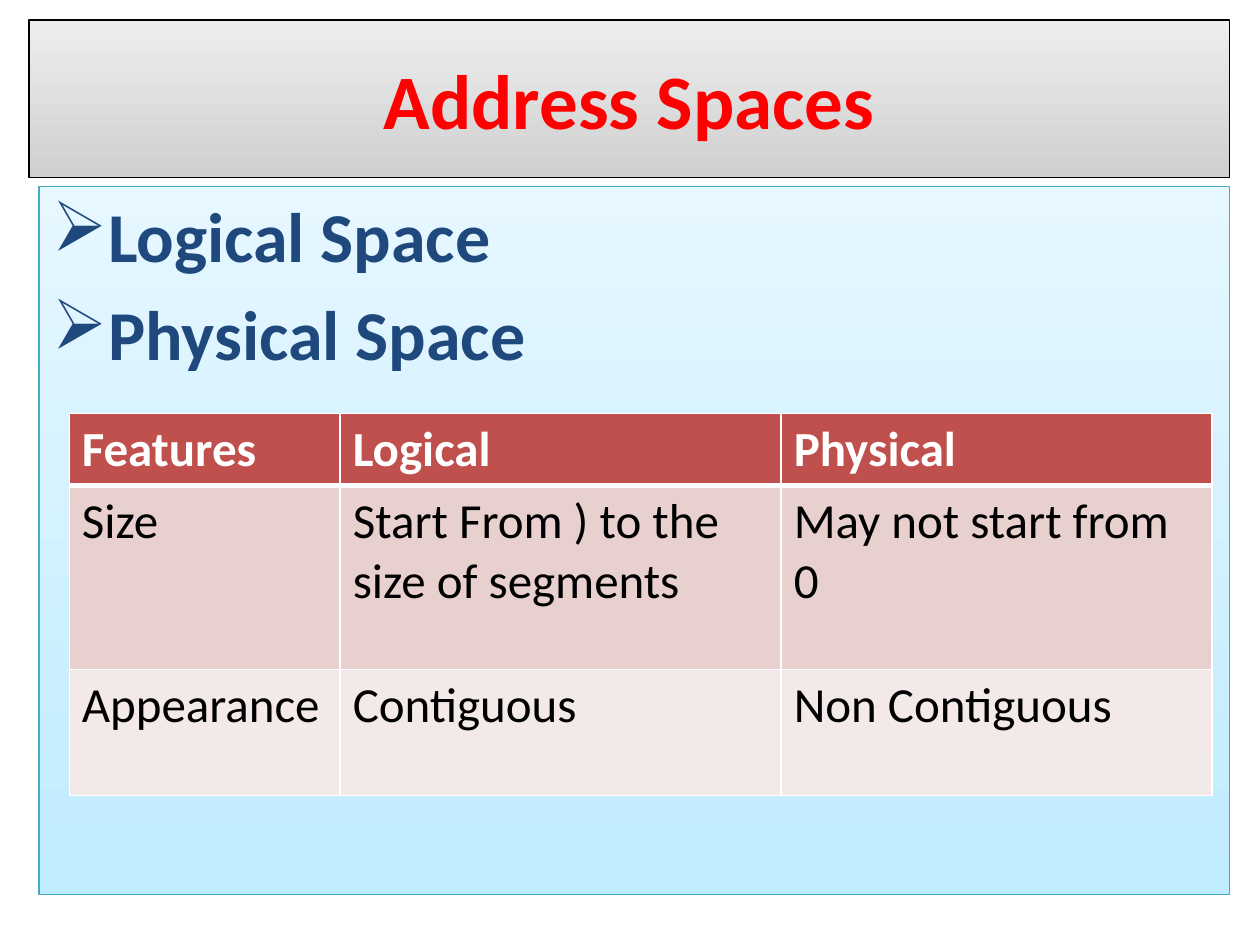
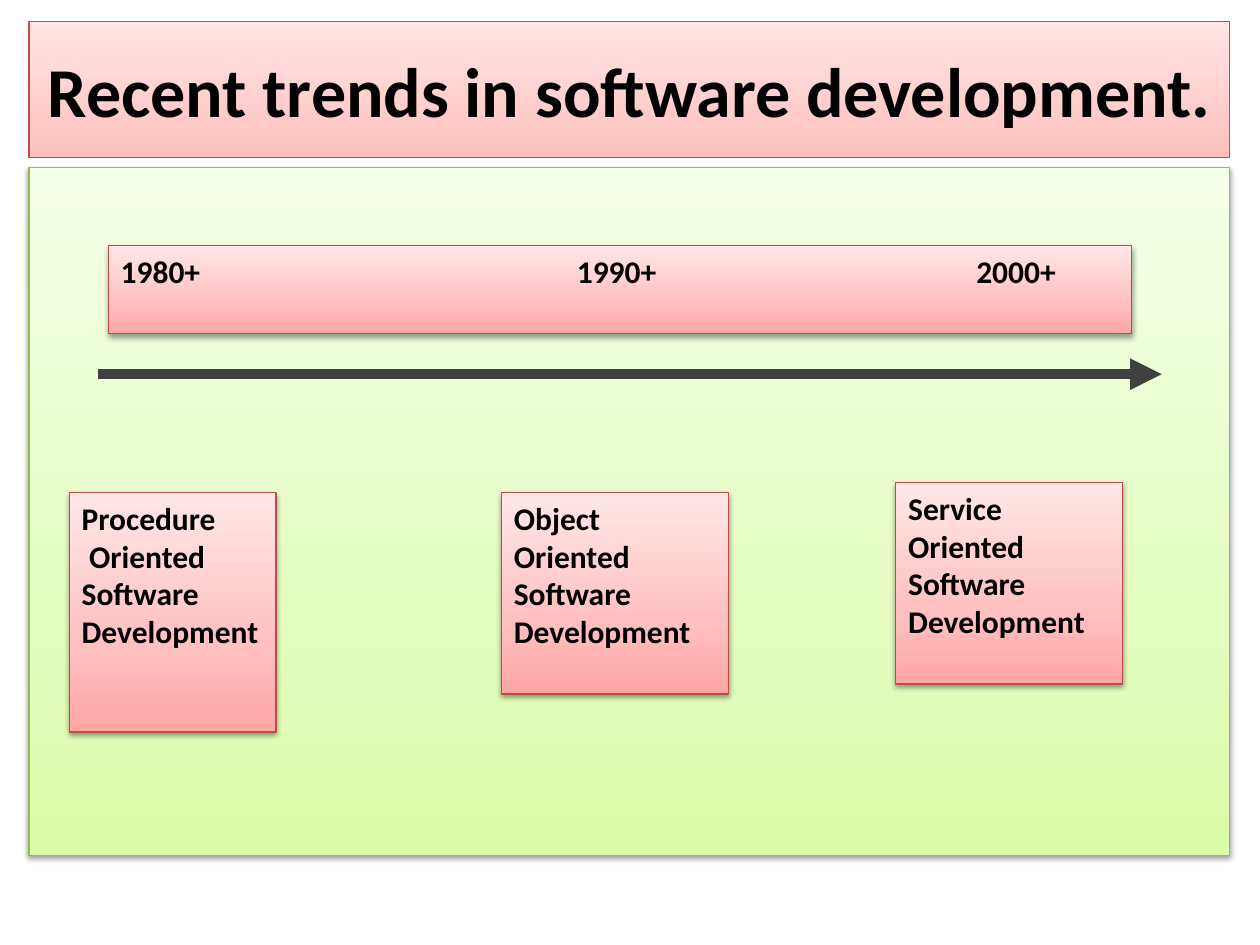
from copy import deepcopy

from lxml import etree
from pptx import Presentation
from pptx.dml.color import RGBColor
from pptx.enum.shapes import MSO_CONNECTOR, MSO_SHAPE
from pptx.enum.text import MSO_ANCHOR, PP_ALIGN
from pptx.oxml.ns import qn
from pptx.util import Emu, Inches, Pt

RECT, LINE = MSO_SHAPE.RECTANGLE, MSO_CONNECTOR.STRAIGHT
TOP, MIDDLE = MSO_ANCHOR.TOP, MSO_ANCHOR.MIDDLE
LEFT, CENTER = PP_ALIGN.LEFT, PP_ALIGN.CENTER

FONT = "Calibri"
COLS, ROWS = 100, 75  # square grid cells over the whole slide
COLORS = {
    "black": "000000", "white": "FFFFFF", "red": "FF0000", "navy": "1F497D",
    "teal": "46AAC4", "brick": "BE4B48", "olive": "98B855", "slate": "404040",
    "head": "C0504D", "odd": "E8D0CF", "even": "F4E9E9",
}
# Gradients run from the bottom edge to the top edge
FADES = {
    "gray": [(0, "D0D0D0"), (1, "EDEDED")],
    "blue": [(0, "BFECFF"), (1, "E6F7FF")],
    "pink": [(0, "FFC1BE"), (1, "FFE5E5")],
    "rose": [(0, "FFA6A5"), (0.35, "FFC0BF"), (1, "FFE7E7")],
    "lime": [(0, "DAFDA7"), (0.35, "E4FCC2"), (1, "F5FFE7")],
}


def color(name):
    return RGBColor.from_string(COLORS[name])


def add(parent, tag, **attrs):
    node = etree.SubElement(parent, qn(tag))
    for key, value in attrs.items():
        node.set(key, str(value))
    return node


class Deck:
    def __init__(self):
        self.prs = Presentation()
        self.prs.slide_width, self.prs.slide_height = Inches(10), Inches(7.5)
        self.slide = None

    def page(self):
        self.slide = self.prs.slides.add_slide(self.prs.slide_layouts[6])

    def col(self, n):
        return Emu(round(self.prs.slide_width * n / COLS))

    def row(self, n):
        return Emu(round(self.prs.slide_height * n / ROWS))

    def place(self, x, y, w, h):
        return self.col(x), self.row(y), self.col(w), self.row(h)

    def style(self, para, size, ink, bold=True):
        font = para.font
        font.name, font.size, font.bold = FONT, Pt(size), bold
        font.color.rgb = color(ink)

    def fade(self, shape, name):
        stops = FADES[name]
        shape.fill.gradient()
        shape.fill.gradient_angle = 90
        items = shape._element.spPr.find(qn("a:gradFill")).find(qn("a:gsLst"))
        while len(items) < len(stops):
            items.append(deepcopy(items[0]))
        for stop, (share, tint) in zip(shape.fill.gradient_stops, stops):
            stop.position = share
            stop.color.rgb = RGBColor.from_string(tint)

    def panel(self, box, fade, edge, shade=False):
        shape = self.slide.shapes.add_shape(RECT, *self.place(*box))
        self.fade(shape, fade)
        shape.line.color.rgb, shape.line.width = color(edge), Pt(0.75)
        shape.shadow.inherit = False
        if shade:
            effects = shape._element.spPr.find(qn("a:effectLst"))
            outer = add(effects, "a:outerShdw", blurRad=Pt(3.1), dist=Pt(1.6),
                        dir=90 * 60000, rotWithShape=0)
            tint = add(outer, "a:srgbClr", val=COLORS["black"])
            add(tint, "a:alpha", val=38000)
        return shape

    def label(self, shape, lines, size, ink, align=LEFT, anchor=TOP,
              bullet=None, tabs=(), shifts=()):
        frame = shape.text_frame
        frame.word_wrap, frame.vertical_anchor = True, anchor
        for i, line in enumerate(lines):
            para = frame.add_paragraph() if i else frame.paragraphs[0]
            para.text, para.alignment = line, align
            props = para._p.get_or_add_pPr()
            if bullet:
                props.set("marL", str(self.col(3.8)))
                props.set("indent", str(-self.col(3.7)))
                if i:
                    para.space_before = Pt(8)
                add(props, "a:buChar", char=bullet)
            if shifts:
                props.set("indent", str(self.col(shifts[i])))
            if tabs:
                stops = add(props, "a:tabLst")
                for tab in tabs:
                    add(stops, "a:tab", pos=self.col(tab), algn="l")
            self.style(para, size, ink)

    def title(self, text, box, fade, edge, size, ink):
        self.label(self.panel(box, fade, edge), [text], size, ink, CENTER, MIDDLE)

    def card(self, box, lines, **extra):
        self.label(self.panel(box, "rose", "brick", True), lines, 18, "black", **extra)

    def arrow(self, x1, y, x2):
        line = self.slide.shapes.add_connector(
            LINE, self.col(x1), self.row(y), self.col(x2), self.row(y))
        line.line.color.rgb, line.line.width = color("slate"), Pt(6)
        props = line._element.spPr
        add(props.find(qn("a:ln")), "a:tailEnd", type="triangle")
        add(props, "a:effectLst")

    def border(self, cell, side, width):
        line = add(cell._tc.get_or_add_tcPr(), "a:ln" + side, w=Pt(width))
        add(add(line, "a:solidFill"), "a:srgbClr", val=COLORS["white"])

    def table(self, x, y, widths, heights, data):
        frame = self.slide.shapes.add_table(
            len(heights), len(widths), *self.place(x, y, sum(widths), sum(heights)))
        grid = frame.table
        for column, width in zip(grid.columns, widths):
            column.width = self.col(width)
        for r, (height, texts) in enumerate(zip(heights, data)):
            grid.rows[r].height = self.row(height)
            for c, text in enumerate(texts):
                cell = grid.cell(r, c)
                for side in "LRTB":
                    rule = (r, side) in ((0, "B"), (1, "T"))
                    self.border(cell, side, 3 if rule else 0.96)
                cell.fill.solid()
                cell.fill.fore_color.rgb = color(("head", "odd", "even")[r])
                cell.text = text
                self.style(cell.text_frame.paragraphs[0], 28,
                           "black" if r else "white", r == 0)


def spaces(deck):
    deck.page()
    body = deck.panel((3.1, 14.8, 94.5, 56.2), "blue", "teal")
    deck.label(body, ["Logical Space", "Physical Space"], 40, "navy", bullet="➢")
    deck.title("Address Spaces", (2.3, 1.6, 95.3, 12.5), "gray", "black", 44, "red")
    deck.table(5.5, 32.8, (21.5, 35, 34.2), (5.7, 14.6, 10), (
        ("Features", "Logical", "Physical"),
        ("Size", "Start From ) to the size of segments", "May not start from 0"),
        ("Appearance", "Contiguous", "Non Contiguous"),
    ))


def trends(deck):
    deck.page()
    deck.title("Recent trends in software development.",
               (2.3, 1.7, 95.3, 10.8), "pink", "brick", 40, "black")
    deck.panel((2.3, 13.3, 95.3, 54.6), "lime", "olive", True)

    # Time line
    deck.card((8.6, 19.5, 81.2, 7), ["1980+\t1990+\t2000+"], tabs=(36.2, 67.9))
    deck.arrow(7.8, 29.7, 92.2)

    # Styles of each decade
    deck.card((5.5, 39.1, 16.4, 19),
              ["Procedure", "Oriented\vSoftware Development"], shifts=(0, 0.6))
    for x, y, kind in ((39.8, 39.1, "Object"), (71.1, 38.3, "Service")):
        deck.card((x, y, 18, 16), [f"{kind} Oriented Software Development"])


def main():
    deck = Deck()
    spaces(deck)
    trends(deck)
    deck.prs.save("out.pptx")


if __name__ == "__main__":
    main()
